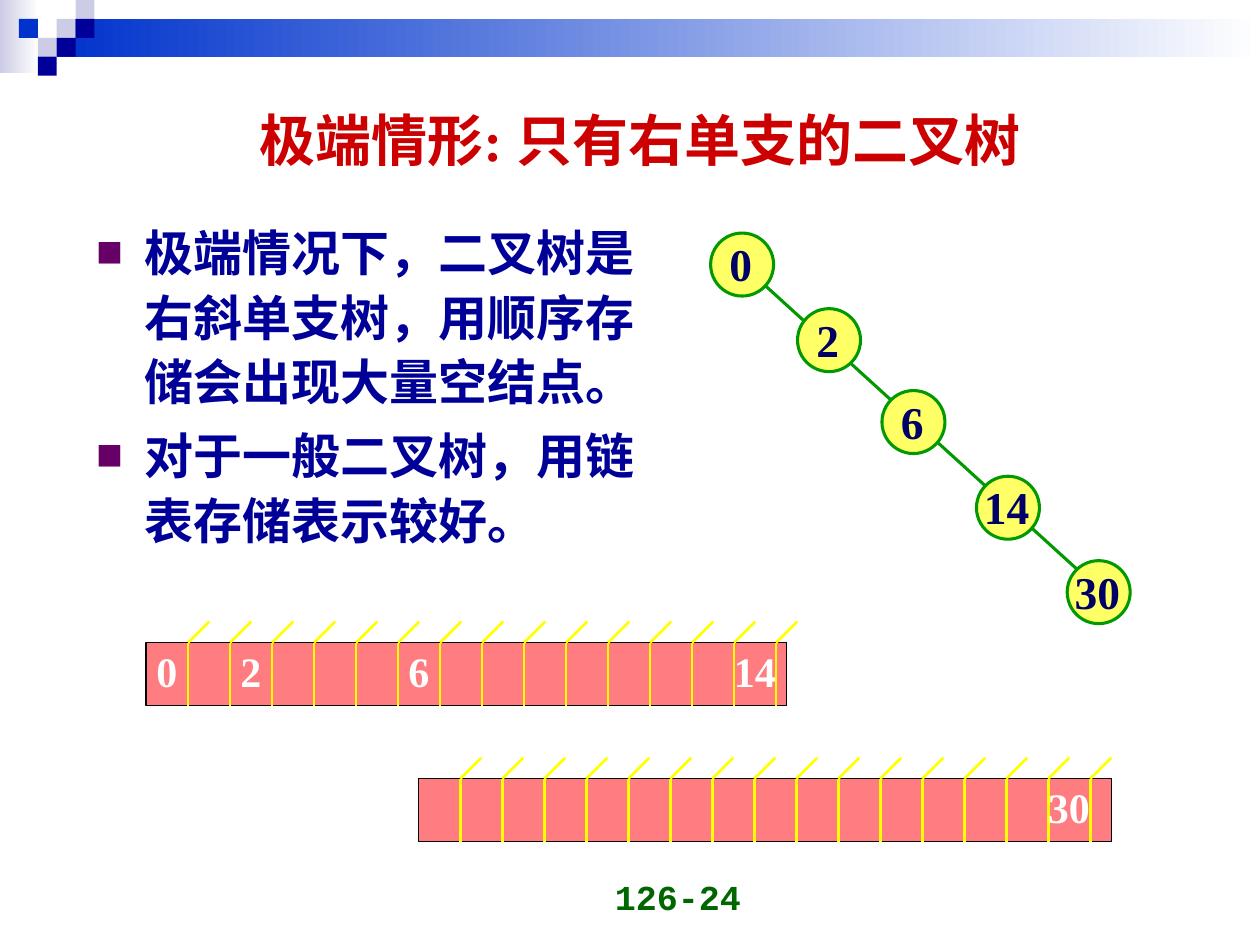
import dataclasses

import lxml.etree
import pptx
import pptx.dml.color
import pptx.enum.shapes
import pptx.enum.text
import pptx.oxml.ns
import pptx.util

KIND = pptx.enum.shapes.MSO_SHAPE
ALIGN = pptx.enum.text.PP_ALIGN
SIDE = pptx.enum.text.MSO_ANCHOR
FIT = pptx.enum.text.MSO_AUTO_SIZE
COLS, ROWS = 100, 75
UNIT = pptx.util.Inches(10) / COLS


@dataclasses.dataclass(frozen=True)
class Theme:
    serif: str = "Times New Roman"
    sans: str = "Noto Sans CJK SC"
    mono: str = "Courier New"
    title: str = "CC0000"
    body: str = "000099"
    bullet: str = "660066"
    foot: str = "006600"
    white: str = "FFFFFF"
    pale: str = "CCCCE6"
    blue: str = "0033CC"
    navy: str = "000099"
    node: str = "FFFF66"
    edge: str = "009900"
    digit: str = "000066"
    cell: str = "FF7C80"
    frame: str = "000000"
    tick: str = "FFFF00"
    title_size: int = 32
    body_size: int = 28
    node_size: int = 26
    cell_size: int = 24
    foot_size: int = 20


LOOK = Theme()


def grid(*spots):
    return [round(spot * UNIT) for spot in spots]


def tint(code):
    return pptx.dml.color.RGBColor.from_string(code)


def child(node, tag, **attrs):
    return lxml.etree.SubElement(node, pptx.oxml.ns.qn(tag), **attrs)


def shape(page, kind, box, fill, line=None, width=0.75):
    """Draw a preset shape; a pair of fills makes a gradient from left to right."""
    item = page.shapes.add_shape(kind, *grid(*box))
    item.shadow.inherit = False
    if isinstance(fill, tuple):
        item.fill.gradient()
        item.fill.gradient_angle = 0
        for stop, code in zip(item.fill.gradient_stops, fill):
            stop.color.rgb = tint(code)
    else:
        item.fill.solid()
        item.fill.fore_color.rgb = tint(fill)
    if line:
        item.line.color.rgb = tint(line)
        item.line.width = pptx.util.Pt(width)
    else:
        item.line.fill.background()


def stroke(page, start, end, code, width):
    item = page.shapes.add_connector(
        pptx.enum.shapes.MSO_CONNECTOR.STRAIGHT, *grid(*start, *end))
    item.line.color.rgb = tint(code)
    item.line.width = pptx.util.Pt(width)
    child(item._element.spPr, "a:effectLst")


def frame(page, box, anchor, wrap=True):
    text = page.shapes.add_textbox(*grid(*box)).text_frame
    text.word_wrap = wrap
    text.vertical_anchor = anchor
    text.auto_size = FIT.NONE if wrap else FIT.SHAPE_TO_FIT_TEXT
    return text


def write(para, words, face, size, code, align=ALIGN.LEFT):
    para.alignment = align
    run = para.add_run()
    run.text = words
    run.font.name = face
    run.font.size = pptx.util.Pt(size)
    run.font.bold = True
    run.font.color.rgb = tint(code)
    child(run._r.get_or_add_rPr(), "a:ea", typeface=LOOK.sans)


def label(page, mid, words, size, code, align):
    """Center a short unwrapped number on a point."""
    width = 2 + size * 0.07 * len(words)
    height = 1 + size * 0.17
    box = (mid[0] - width / 2, mid[1] - height / 2, width, height)
    text = frame(page, box, SIDE.MIDDLE, wrap=False)
    write(text.paragraphs[0], words, LOOK.serif, size, code, align)


def banner(page, box):
    left, top, width, height = box
    step = height / 4
    shape(page, KIND.RECTANGLE, (left, top, 3.1, 5.8), (LOOK.pale, LOOK.white))
    shape(page, KIND.RECTANGLE, (left + 4.5, top + step, width - 4.5, 2 * step),
          (LOOK.blue, LOOK.white))
    tiles = [(3, 1, LOOK.pale), (4, 0, LOOK.pale), (4, 1, LOOK.navy),
             (2, 2, LOOK.pale), (1, 1, LOOK.blue), (3, 2, LOOK.navy),
             (2, 3, LOOK.navy)]
    for col, row, code in tiles:
        shape(page, KIND.RECTANGLE,
              (left + col * step, top + row * step, step, step), code)


def title(page, box, words):
    text = frame(page, box, SIDE.MIDDLE)
    write(text.paragraphs[0], words, LOOK.serif, LOOK.title_size, LOOK.title,
          ALIGN.CENTER)


def points(page, box, items):
    text = frame(page, box, SIDE.TOP)
    for rank, words in enumerate(items):
        para = text.add_paragraph() if rank else text.paragraphs[0]
        props = para._p.get_or_add_pPr()
        indent = pptx.util.Inches(0.38)
        props.set("marL", str(indent))
        props.set("indent", str(-indent))
        child(child(props, "a:buClr"), "a:srgbClr", val=LOOK.bullet)
        child(props, "a:buSzPct", val="55000")
        child(props, "a:buFont", typeface=LOOK.sans)
        child(props, "a:buChar", char="■")
        para.line_spacing = 1.1
        para.space_before = pptx.util.Pt(5.2 if rank else 0)
        write(para, words, LOOK.sans, LOOK.body_size, LOOK.body)


def tree(page, box, nodes):
    """Draw a chain of round nodes, each given as words and an offset in the box."""
    left, top, width, height = box
    size = 5
    half = size / 2
    stroke(page, (left + 3.6, top + 3.5),
           (left + width - 3.1, top + height - 3.3), LOOK.edge, 1.75)
    for words, across, down in nodes:
        spot = (left + across, top + down)
        shape(page, KIND.OVAL, (*spot, size, size), LOOK.node, LOOK.edge, 1.75)
        label(page, (spot[0] + half - 0.1, spot[1] + half - 0.1), words,
              LOOK.node_size, LOOK.digit, ALIGN.CENTER)


def strip(page, box, marks):
    """Draw a row of array cells; marks maps a cell's index to its words."""
    left, top, width, height = box
    cell = 10 / 3
    shape(page, KIND.RECTANGLE, box, LOOK.cell, LOOK.frame)
    for rank in range(1, int(width / cell) + 1):
        spot = left + rank * cell
        stroke(page, (spot, top), (spot, top + height), LOOK.tick, 1.5)
        stroke(page, (spot, top), (spot + cell / 2, top - cell / 2),
               LOOK.tick, 1.5)
    for rank, words in marks.items():
        label(page, (left + (rank + 0.5) * cell, top + height / 2 - 0.3), words,
              LOOK.cell_size, LOOK.white, ALIGN.LEFT)


def footer(page, box, words):
    text = frame(page, box, SIDE.BOTTOM)
    write(text.paragraphs[0], words, LOOK.mono, LOOK.foot_size, LOOK.foot,
          ALIGN.RIGHT)


def main():
    deck = pptx.Presentation()
    deck.slide_width, deck.slide_height = grid(COLS, ROWS)
    page = deck.slides.add_slide(deck.slide_layouts[6])
    banner(page, (0, 0, COLS, 6))
    footer(page, (36.5, 68.3, 23.3, 5), "126-24")
    tree(page, (56.4, 18.5, 33.3, 31),
         [("0", 0, 0), ("2", 6.9, 6), ("6", 13.6, 12.5),
          ("14", 21.1, 19.3), ("30", 28.3, 26)])
    strip(page, (33.2, 61.8, 55, 5), {15: "30"})
    strip(page, (11.6, 51, 50.8, 5), {0: "0", 2: "2", 6: "6", 14: "14"})
    title(page, (8.3, 6.4, 85, 9.2), "极端情形: 只有右单支的二叉树")
    points(page, (6.7, 16.7, 47.7, 31.9),
           ["极端情况下，二叉树是右斜单支树，用顺序存储会出现大量空结点。",
            "对于一般二叉树，用链表存储表示较好。"])
    deck.save("out.pptx")


if __name__ == "__main__":
    main()
